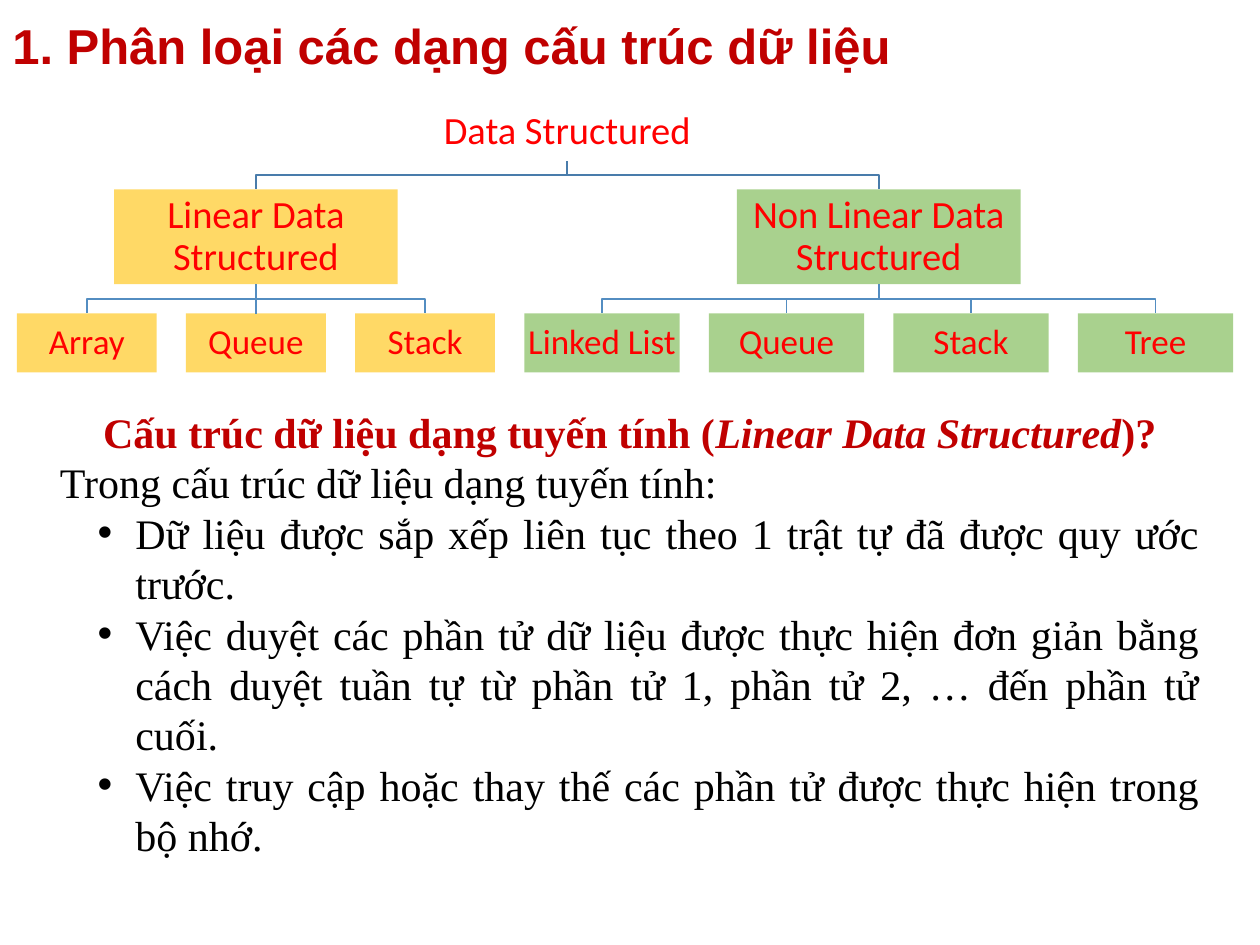
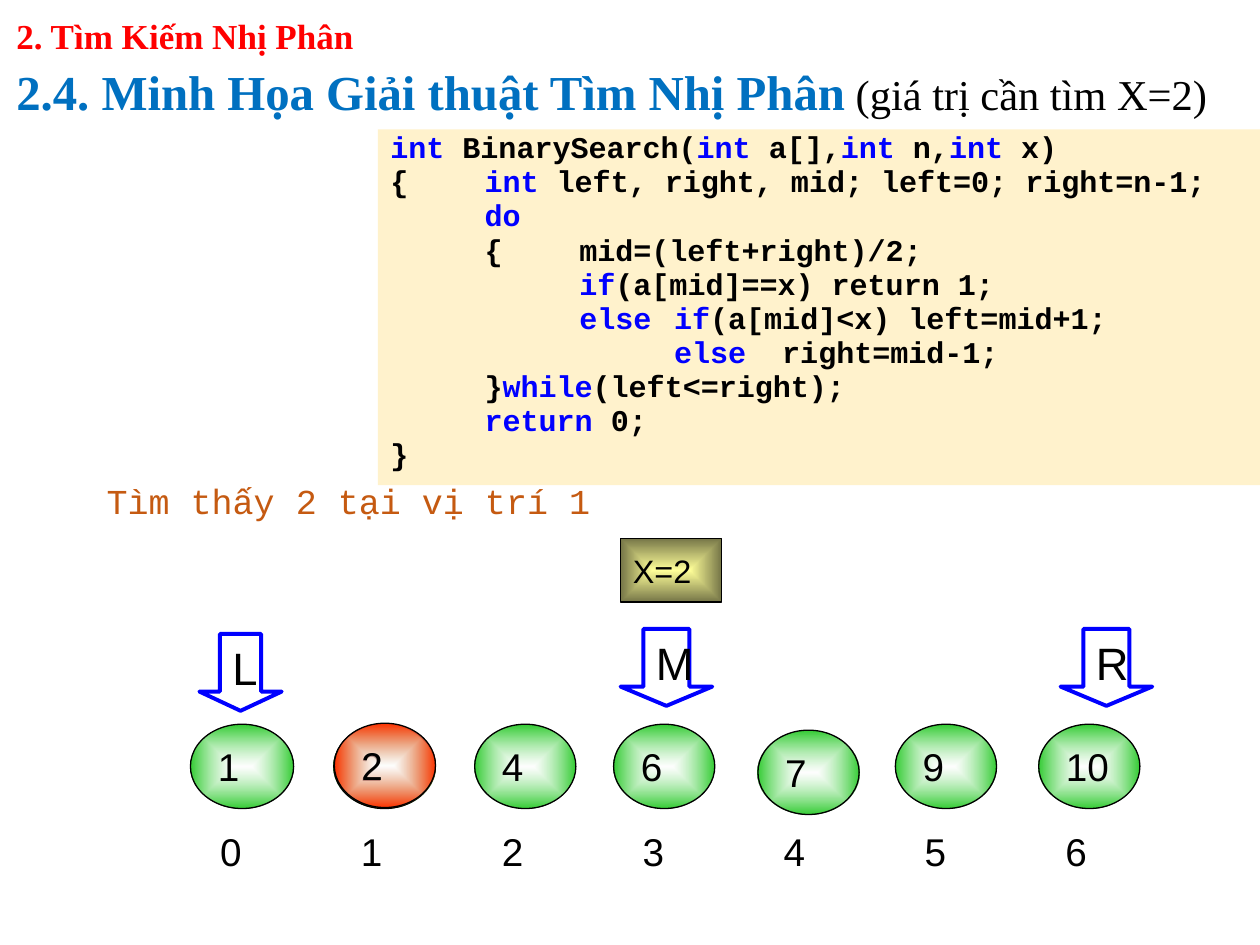
"""Build two lecture slides on data structures and binary search."""
from typing import NamedTuple, Optional

from lxml import etree
from pptx import Presentation
from pptx.dml.color import RGBColor
from pptx.enum.shapes import MSO_CONNECTOR, MSO_SHAPE
from pptx.enum.text import MSO_ANCHOR, PP_ALIGN
from pptx.oxml import parse_xml
from pptx.oxml.ns import nsdecls, qn
from pptx.util import Cm, Pt

RECTANGLE, ELLIPSE, DOWN_ARROW = MSO_SHAPE.RECTANGLE, MSO_SHAPE.OVAL, MSO_SHAPE.DOWN_ARROW
STRAIGHT = MSO_CONNECTOR.STRAIGHT
TOP, MIDDLE = MSO_ANCHOR.TOP, MSO_ANCHOR.MIDDLE
LEFT, CENTER, JUSTIFY = PP_ALIGN.LEFT, PP_ALIGN.CENTER, PP_ALIGN.JUSTIFY
BOTTOM_SITE, TOP_SITE = 2, 0

BLACK, WHITE, RED, DARK_RED = "000000", "FFFFFF", "FF0000", "C00000"
BLUE, TITLE_BLUE, ORANGE = "0000FF", "0070C0", "C55A11"
YELLOW, GREEN, CREAM = "FFD966", "A9D18E", "FFF2CC"
BALL_GREEN, BALL_RED = "33CC33", "FF3300"
TARGET_INNER, TARGET_OUTER = "FFFF99", "757547"
ROOT_LINE, BRANCH_LINE = "497CAB", "538DC1"
SANS, SERIF, MONO, TREE_FONT = "Arial", "Times New Roman", "Courier New", "Calibri"

LEAF_GAP = 0.59
ROOT_TOP, BRANCH_TOP, LEAF_TOP = 2.06, 3.82, 6.32
BOX_HEIGHT, BRANCH_HEIGHT = 1.19, 1.91
ROOT_WIDTH, BRANCH_WIDTH = 5.97, 5.72
BALL_WIDTH, BALL_HEIGHT = 2.04, 1.7
INDEX_LEFT, INDEX_PITCH, INDEX_TOP = 3.89, 2.84, 16.31


class Area(NamedTuple):
    """Left, top, width and height in centimetres."""
    left: float
    top: float
    width: float
    height: float


class Style(NamedTuple):
    """Character format of a paragraph."""
    font: str
    size: float
    color: str = BLACK
    bold: bool = False


class Span(NamedTuple):
    """A stretch of text and what sets it apart from its paragraph."""
    text: str
    color: Optional[str] = None
    bold: Optional[bool] = None
    italic: Optional[bool] = None
    size: Optional[float] = None


class Para(NamedTuple):
    """A paragraph with its spans and layout."""
    spans: list[Span]
    style: Style
    align: PP_ALIGN = LEFT
    spacing: Optional[float] = None
    before: float = 0
    bullet: bool = False
    tabs: tuple[float, ...] = ()


class Branch(NamedTuple):
    """A branch of the tree with its row of leaves."""
    label: str
    color: str
    left: float
    leaf_width: float
    leaves: list[str]

    def leaf_left(self, index: int) -> float:
        """Return the left edge of a leaf."""
        return self.left + index * (self.leaf_width + LEAF_GAP)

    def center(self) -> float:
        """Return the middle of the row of leaves."""
        return (self.left + self.leaf_left(len(self.leaves)) - LEAF_GAP) / 2


class Ball(NamedTuple):
    """An array element drawn as an ellipse."""
    value: str
    left: float
    top: float = 14.6
    width: float = BALL_WIDTH
    color: str = BALL_GREEN


class Pointer(NamedTuple):
    """An arrow that marks a bound of the search."""
    label: str
    left: float
    top: float
    width: float


BRANCHES = [
    Branch("Linear Data Structured", YELLOW, 0.34, 2.82, ["Array", "Queue", "Stack"]),
    Branch("Non Linear Data Structured", GREEN, 10.57, 3.13,
           ["Linked List", "Queue", "Stack", "Tree"]),
]
POINTS = [
    "Dữ liệu được sắp xếp liên tục theo 1 trật tự đã được quy ước trước.",
    "Việc duyệt các phần tử dữ liệu được thực hiện đơn giản bằng cách duyệt tuần tự "
    "từ phần tử 1, phần tử 2, … đến phần tử cuối.",
    "Việc truy cập hoặc thay thế các phần tử được thực hiện trong bộ nhớ.",
]
CODE = [
    "*int* BinarySearch(*int* a[],*int* n,*int* x)",
    "{\t*int* left, right, mid; left=0; right=n-1;",
    "\t*do*",
    "\t{ \tmid=(left+right)/2;",
    "\t\t*if*(a[mid]==x) return 1;",
    "\t\t*else \tif*(a[mid]<x) left=mid+1;",
    "\t\t\t*else*  right=mid-1;",
    "\t}*while*(left<=right);",
    "\t*return* 0;",
    "}",
]
BALLS = [
    Ball("1", 3.84, width=2.08), Ball("2", 6.73), Ball("4", 9.57), Ball("6", 12.37),
    Ball("9", 18.05), Ball("10", 20.94), Ball("2", 6.74, 14.58, color=BALL_RED),
    Ball("7", 15.28, 14.72),
]
POINTERS = [Pointer("L", 4.02, 12.78, 1.66), Pointer("M", 12.51, 12.68, 1.85),
            Pointer("R", 21.38, 12.68, 1.85)]


def rgb(color: str) -> RGBColor:
    """Turn a hex string into a colour."""
    return RGBColor.from_string(color)


def place(area: Area) -> list[Cm]:
    """Turn an area into lengths."""
    return [Cm(value) for value in area]


def format_para(paragraph, para: Para) -> None:
    """Fill a paragraph with its spans, format and layout."""
    paragraph.alignment = para.align
    paragraph.space_before = Pt(para.before)
    if para.spacing:
        paragraph.line_spacing = para.spacing
    font = paragraph.font
    font.name, font.size, font.bold = para.style.font, Pt(para.style.size), para.style.bold
    font.color.rgb = rgb(para.style.color)
    properties = paragraph._p.get_or_add_pPr()
    extras = []
    if para.bullet:
        properties.set("marL", str(Cm(1.52)))
        properties.set("indent", str(-Cm(0.76)))
        extras = [f'<a:buFont {nsdecls("a")} typeface="Arial"/>',
                  f'<a:buChar {nsdecls("a")} char="•"/>']
    if para.tabs:
        stops = "".join(f'<a:tab pos="{Cm(stop)}" algn="l"/>' for stop in para.tabs)
        extras.append(f'<a:tabLst {nsdecls("a")}>{stops}</a:tabLst>')
    for extra in extras:
        properties.find(qn("a:defRPr")).addprevious(parse_xml(extra))
    for span in para.spans:
        run = paragraph.add_run()
        run.text = span.text
        if span.color:
            run.font.color.rgb = rgb(span.color)
        if span.bold is not None:
            run.font.bold = span.bold
        if span.italic is not None:
            run.font.italic = span.italic
        if span.size:
            run.font.size = Pt(span.size)


def write(shape, paras: list[Para], anchor: MSO_ANCHOR = TOP,
          inset: Optional[float] = None, wrap: bool = True) -> None:
    """Put paragraphs into a shape."""
    frame = shape.text_frame
    frame.word_wrap, frame.vertical_anchor = wrap, anchor
    if inset is not None:
        frame.margin_left = frame.margin_right = Cm(inset)
        frame.margin_top = frame.margin_bottom = Cm(inset)
    for index, para in enumerate(paras):
        format_para(frame.add_paragraph() if index else frame.paragraphs[0], para)


def add_text(page, area: Area, paras: list[Para], anchor: MSO_ANCHOR = TOP) -> None:
    """Add a text box."""
    write(page.shapes.add_textbox(*place(area)), paras, anchor)


def add_box(page, kind: MSO_SHAPE, area: Area, fill: Optional[str] = None,
            line: Optional[str] = None, weight: float = 0.75):
    """Add a preset shape with a plain fill and line."""
    box = page.shapes.add_shape(kind, *place(area))
    box.shadow.inherit = False
    if fill:
        box.fill.solid()
        box.fill.fore_color.rgb = rgb(fill)
    else:
        box.fill.background()
    if line:
        box.line.color.rgb = rgb(line)
        box.line.width = Pt(weight)
    else:
        box.line.fill.background()
    return box


def glow(box, inner: str, outer: str, opacity: int = 100) -> None:
    """Replace an empty fill with a gradient from the middle outwards."""
    empty = box._element.spPr.find(qn("a:noFill"))
    gradient = parse_xml(
        f'<a:gradFill {nsdecls("a")} rotWithShape="1"><a:gsLst>'
        f'<a:gs pos="0"><a:srgbClr val="{inner}"><a:alpha val="{opacity * 1000}"/></a:srgbClr></a:gs>'
        f'<a:gs pos="100000"><a:srgbClr val="{outer}"/></a:gs></a:gsLst>'
        '<a:path path="shape"><a:fillToRect l="50000" t="50000" r="50000" b="50000"/></a:path>'
        '</a:gradFill>')
    empty.getparent().replace(empty, gradient)


def add_elbow(page, start: float, top: float, end: float, bottom: float, color: str) -> None:
    """Draw a bent line from a parent down to a child."""
    middle = (top + bottom) / 2
    builder = page.shapes.build_freeform(Cm(start), Cm(top))
    corners = [(start, middle), (end, middle), (end, bottom)]
    builder.add_line_segments([(Cm(x), Cm(y)) for x, y in corners], close=False)
    elbow = builder.convert_to_shape()
    elbow.shadow.inherit = False
    elbow.fill.background()
    elbow.line.color.rgb = rgb(color)
    elbow.line.width = Pt(1)


def join(page, parent, child, color: str) -> None:
    """Join a parent to the child straight below it."""
    line = page.shapes.add_connector(STRAIGHT, 0, 0, 0, 0)
    line.begin_connect(parent, BOTTOM_SITE)
    line.end_connect(child, TOP_SITE)
    line.line.color.rgb = rgb(color)
    line.line.width = Pt(1)
    etree.SubElement(line._element.spPr, qn("a:effectLst"))


def add_node(page, label: str, center: float, top: float, width: float, height: float,
             size: float, fill: Optional[str] = None):
    """Add a labelled box of the tree."""
    box = add_box(page, RECTANGLE, Area(center - width / 2, top, width, height), fill)
    style = Style(TREE_FONT, size, RED)
    write(box, [Para([Span(label)], style, CENTER, 0.9)], MIDDLE, 0.04)
    return box


def build_tree(page) -> None:
    """Draw the tree of data structures."""
    root_center = sum(branch.center() for branch in BRANCHES) / len(BRANCHES)
    add_node(page, "Data Structured", root_center, ROOT_TOP, ROOT_WIDTH, BOX_HEIGHT, 22)
    for branch in BRANCHES:
        center = branch.center()
        add_elbow(page, root_center, ROOT_TOP + BOX_HEIGHT, center, BRANCH_TOP, ROOT_LINE)
        parent = add_node(page, branch.label, center, BRANCH_TOP, BRANCH_WIDTH,
                          BRANCH_HEIGHT, 22, branch.color)
        for index, label in enumerate(branch.leaves):
            leaf_center = branch.leaf_left(index) + branch.leaf_width / 2
            leaf = add_node(page, label, leaf_center, LEAF_TOP, branch.leaf_width,
                            BOX_HEIGHT, 20, branch.color)
            if abs(leaf_center - center) < 0.01:
                join(page, parent, leaf, BRANCH_LINE)
            else:
                add_elbow(page, center, BRANCH_TOP + BRANCH_HEIGHT, leaf_center, LEAF_TOP,
                          BRANCH_LINE)


def build_classification(page) -> None:
    """Build the slide that classifies data structures."""
    title = Para([Span("1. Phân loại các dạng cấu trúc dữ liệu")],
                 Style(SANS, 28, DARK_RED, True), spacing=0.9)
    add_text(page, Area(0, 0.1, 21.89, 1.78), [title], MIDDLE)
    build_tree(page)
    body = Style(SERIF, 24)
    question = [Span("Cấu trúc dữ liệu dạng tuyến tính ("),
                Span("Linear Data Structured", italic=True), Span(")?")]
    paras = [Para(question, Style(SERIF, 24, DARK_RED, True), CENTER),
             Para([Span("Trong cấu trúc dữ liệu dạng tuyến tính:")], body)]
    paras += [Para([Span(point)], body, JUSTIFY, bullet=True) for point in POINTS]
    add_text(page, Area(0.96, 8.07, 23.47, 8.46), paras)


def code_para(line: str) -> Para:
    """Make a line of code, with the parts between asterisks in blue."""
    spans = [Span(part, BLUE if index % 2 else None)
             for index, part in enumerate(line.split("*")) if part]
    return Para(spans, Style(MONO, 17.2, BLACK, True), JUSTIFY, 0.8, 3, tabs=(1.9, 3.81, 5.72))


def build_search(page) -> None:
    """Build the slide that illustrates binary search."""
    section = Para([Span("2. Tìm Kiếm Nhị Phân")], Style(SERIF, 20, RED, True), spacing=0.9)
    add_text(page, Area(0.08, 0, 23.6, 1.52), [section], MIDDLE)
    heading = [Span("2.4. Minh Họa Giải thuật Tìm Nhị Phân"),
               Span(" (giá trị cần tìm X=2)", BLACK, False, size=24.3)]
    add_text(page, Area(0.08, 1.08, 25.12, 1.52),
             [Para(heading, Style(SERIF, 27.9, TITLE_BLUE, True))], MIDDLE)
    listing = add_box(page, RECTANGLE, Area(7.62, 2.61, 17.78, 7.17), CREAM)
    write(listing, [code_para(line) for line in CODE])
    add_text(page, Area(1.9, 9.55, 10.46, 1.12),
             [Para([Span("Tìm thấy 2 tại vị trí 1")], Style(MONO, 20, ORANGE))])
    target = add_box(page, RECTANGLE, Area(12.51, 10.85, 2.04, 1.29), line=BLACK)
    glow(target, TARGET_INNER, TARGET_OUTER)
    write(target, [Para([Span("X=2")], Style(SANS, 18.5))], MIDDLE, wrap=False)
    number = Style(SANS, 22.1)
    for ball in BALLS:
        box = add_box(page, ELLIPSE, Area(ball.left, ball.top, ball.width, BALL_HEIGHT), line=BLACK)
        glow(box, WHITE, ball.color, 60)
        write(box, [Para([Span(ball.value)], number)])
    for index in range(7):
        left = INDEX_LEFT + index * INDEX_PITCH
        box = add_box(page, ELLIPSE, Area(left, INDEX_TOP, BALL_WIDTH, BALL_HEIGHT))
        write(box, [Para([Span(str(index))], number)])
    for pointer in POINTERS:
        area = Area(pointer.left, pointer.top, pointer.width, 1.55)
        arrow = add_box(page, DOWN_ARROW, area, line=BLUE, weight=2.25)
        arrow.adjustments[0], arrow.adjustments[1] = 0.5, 0.25
        write(arrow, [Para([Span(pointer.label)], Style(SANS, 25.9))])


def main() -> None:
    """Build and save the deck."""
    deck = Presentation()
    deck.slide_width, deck.slide_height = Cm(25.4), Cm(19.05)
    for build in (build_classification, build_search):
        build(deck.slides.add_slide(deck.slide_layouts[6]))
    deck.save("out.pptx")


if __name__ == "__main__":
    main()
